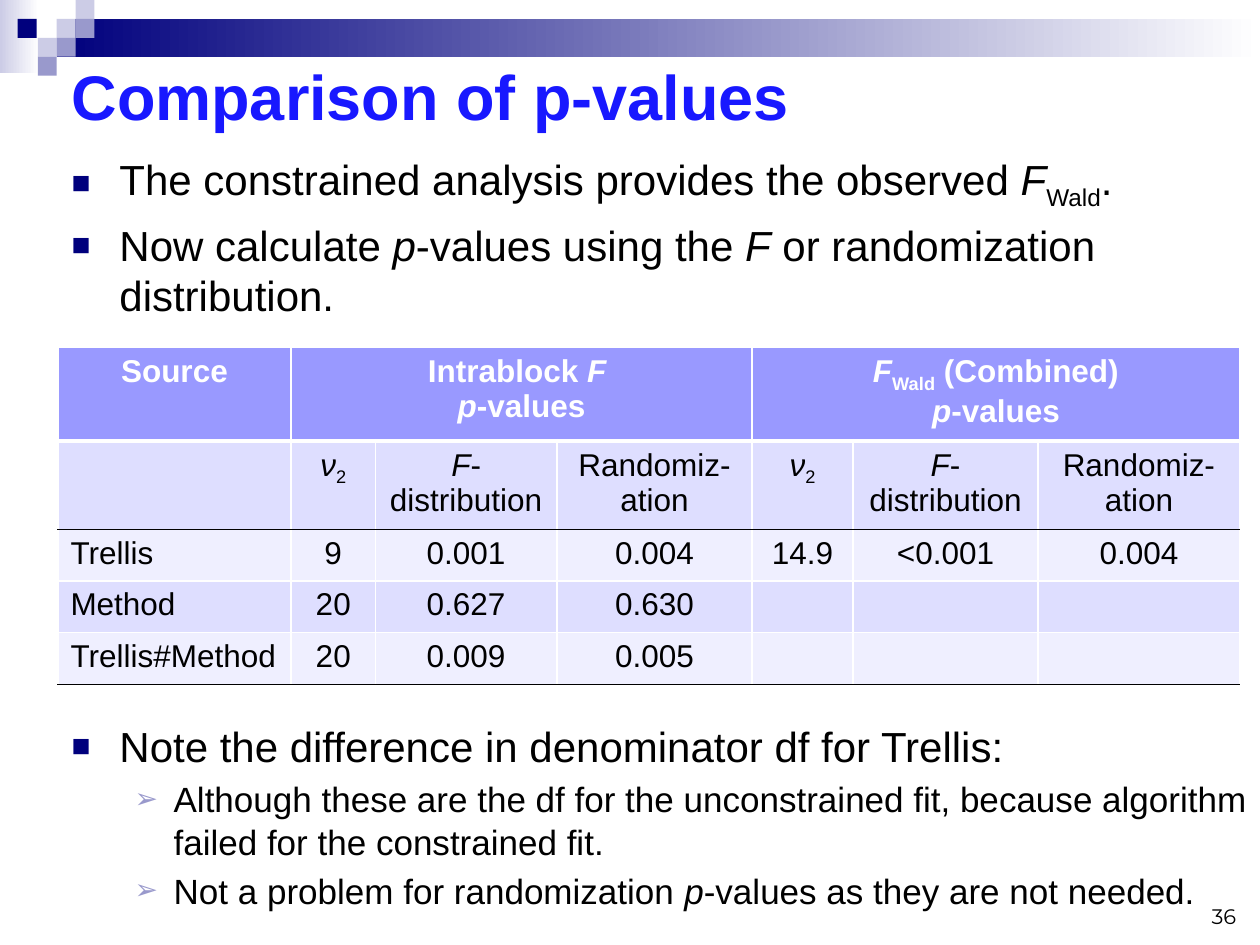
from lxml.etree import SubElement
from pptx import Presentation
from pptx.dml.color import RGBColor
from pptx.enum.shapes import MSO_SHAPE
from pptx.enum.text import MSO_ANCHOR, PP_ALIGN
from pptx.oxml.ns import qn
from pptx.util import Inches, Pt

COLORS = {
    "navy": "00007D", "lavender": "CCCCE6", "violet": "9999CC", "white": "FFFFFF",
    "black": "000000", "title": "1818FF", "header": "9999FF",
    "band": "DEDEFF", "light": "EFEFFF",
}
BODY = {"name": "Arial", "size": Pt(24)}
SUB_BODY = {"name": "Arial", "size": Pt(20)}
CELL = {"name": "Arial", "size": Pt(18)}
HEADER = {**CELL, "bold": True}
TITLE = {"name": "Arial", "size": Pt(36), "bold": True}
PAGE = {"name": "Montserrat", "size": Pt(12)}
BULLETS = [
    {"char": "■", "color": "navy", "scale": 75, "left": 0.38, "hang": 0.38, "style": BODY},
    {"char": "➢", "color": "violet", "scale": 80, "left": 0.81, "hang": 0.31, "style": SUB_BODY},
]
TILE = 0.15
TILES = [
    (0.45, 0.15, "lavender"), (0.6, 0, "lavender"), (0.6, 0.15, "violet"),
    (0.3, 0.3, "lavender"), (0.14, 0.15, "navy"), (0.45, 0.3, "violet"),
    (0.3, 0.45, "violet"),
]
INTRO = [
    (0, "The constrained analysis provides the observed *F*_Wald_."),
    (0, "Now calculate *p*-values using the *F* or randomization distribution."),
]
NOTES = [
    (0, "Note the difference in denominator df for Trellis:"),
    (1, "Although these are the df for the unconstrained fit, because algorithm "
        "failed for the constrained fit."),
    (1, "Not a problem for randomization *p*-values as they are not needed."),
]
SUBHEADS = ["*ν*_2_", "*F*-distribution", "Randomiz-ation"]
ROWS = [
    ["Source", "Intrablock *F *\n*p*-values", "", "", "*F*_Wald_ (Combined)\n*p*-values", "", ""],
    ["", *SUBHEADS, *SUBHEADS],
    ["Trellis", "9", "0.001", "0.004", "14.9", "<0.001", "0.004"],
    ["Method", "20", "0.627", "0.630", "", "", ""],
    ["Trellis#Method", "20", "0.009", "0.005", "", "", ""],
]
COLUMN_WIDTHS = [1.85, 0.67, 1.44, 1.55, 0.8, 1.47, 1.6]
ROW_HEIGHTS = [0.69, 0.7, 0.41, 0.41, 0.41]
ROW_FILLS = ["header", "band", "light", "band", "light"]
RULES = [("white", 1), ("white", 3), ("black", 1), ("white", 1), ("white", 1), ("black", 1)]


def rgb(color):
    """Return the named palette colour."""
    return RGBColor.from_string(COLORS[color])


def write(paragraph, text, style, color="black"):
    """Write text in which *...* is italic and _..._ is subscript."""
    for i, part in enumerate(text.split("*")):
        for j, piece in enumerate(part.split("_")):
            if not piece:
                continue
            run = paragraph.add_run()
            run.text = piece
            for key, value in style.items():
                setattr(run.font, key, value)
            run.font.color.rgb = rgb(color)
            if i % 2:
                run.font.italic = True
            if j % 2:
                run._r.get_or_add_rPr().set("baseline", "-25000")


def add_block(slide, box, fill, fade=False):
    """Add a borderless rectangle, plain or fading to white."""
    block = slide.shapes.add_shape(MSO_SHAPE.RECTANGLE, *map(Inches, box))
    block.shadow.inherit = False
    block.line.fill.background()
    if fade:
        block.fill.gradient()
        block.fill.gradient_angle = 0
        for stop, color in zip(block.fill.gradient_stops, (fill, "white")):
            stop.color.rgb = rgb(color)
    else:
        block.fill.solid()
        block.fill.fore_color.rgb = rgb(fill)


def add_frame(slide, box, anchor=MSO_ANCHOR.TOP):
    """Add a wrapping text box and return its text frame."""
    frame = slide.shapes.add_textbox(*map(Inches, box)).text_frame
    frame.word_wrap = True
    frame.vertical_anchor = anchor
    return frame


def add_line(slide, box, text, style, color, anchor, align):
    """Add a text box holding a single line."""
    paragraph = add_frame(slide, box, anchor).paragraphs[0]
    paragraph.alignment = align
    write(paragraph, text, style, color)


def set_bullet(paragraph, bullet):
    """Give a paragraph its indent and bullet."""
    props = paragraph._p.get_or_add_pPr()
    props.set("marL", str(Inches(bullet["left"])))
    props.set("indent", str(-Inches(bullet["hang"])))
    color = SubElement(props, qn("a:buClr"))
    SubElement(color, qn("a:srgbClr"), val=COLORS[bullet["color"]])
    SubElement(props, qn("a:buSzPct"), val=str(bullet["scale"] * 1000))
    SubElement(props, qn("a:buFont"), typeface="Arial")
    SubElement(props, qn("a:buChar"), char=bullet["char"])


def add_bullets(slide, box, items):
    """Add a bulleted list of (level, text) items."""
    frame = add_frame(slide, box)
    for index, (level, text) in enumerate(items):
        paragraph = frame.add_paragraph() if index else frame.paragraphs[0]
        bullet = BULLETS[level]
        paragraph.level = level
        paragraph.space_before = Pt(bullet["style"]["size"].pt * 0.2)
        set_bullet(paragraph, bullet)
        write(paragraph, text, bullet["style"])


def set_borders(cell, top, bottom):
    """Draw white sides and the given rules above and below a cell."""
    side = ("white", 1)
    for tag, (color, width) in zip(("lnL", "lnR", "lnT", "lnB"), (side, side, top, bottom)):
        line = SubElement(cell._tc.get_or_add_tcPr(), qn(f"a:{tag}"), w=str(Pt(width)))
        SubElement(SubElement(line, qn("a:solidFill")), qn("a:srgbClr"), val=COLORS[color])


def fill_cell(cell, text, row, column):
    """Style one table cell and write its text."""
    set_borders(cell, RULES[row], RULES[row + 1])
    cell.fill.solid()
    cell.fill.fore_color.rgb = rgb(ROW_FILLS[row])
    style, color = (CELL, "black") if row else (HEADER, "white")
    for index, line in enumerate(text.split("\n")):
        frame = cell.text_frame
        paragraph = frame.add_paragraph() if index else frame.paragraphs[0]
        paragraph.alignment = PP_ALIGN.LEFT if row > 1 and column == 0 else PP_ALIGN.CENTER
        write(paragraph, line, style, color)


def add_p_value_table(slide):
    """Add the table of p-values with its two merged headings."""
    box = (0.46, 2.76, sum(COLUMN_WIDTHS), sum(ROW_HEIGHTS))
    table = slide.shapes.add_table(len(ROWS), len(COLUMN_WIDTHS), *map(Inches, box)).table
    for column, width in zip(table.columns, COLUMN_WIDTHS):
        column.width = Inches(width)
    for row, height in zip(table.rows, ROW_HEIGHTS):
        row.height = Inches(height)
    for first in (1, 4):
        table.cell(0, first).merge(table.cell(0, first + 2))
    for r, texts in enumerate(ROWS):
        for c, text in enumerate(texts):
            fill_cell(table.cell(r, c), text, r, c)


def main():
    """Build the slide and save it."""
    deck = Presentation()
    deck.slide_width, deck.slide_height = Inches(10), Inches(7.5)
    slide = deck.slides.add_slide(deck.slide_layouts[6])
    add_block(slide, (0, 0, 0.31, 0.58), "lavender", fade=True)
    add_block(slide, (0.45, 0.15, 9.55, 0.3), "navy", fade=True)
    for left, top, color in TILES:
        add_block(slide, (left, top, TILE, TILE), color)
    add_line(slide, (0.47, 0.35, 9.45, 0.81), "Comparison of p-values", TITLE, "title",
             MSO_ANCHOR.MIDDLE, PP_ALIGN.LEFT)
    add_bullets(slide, (0.47, 5.67, 9.73, 1.87), NOTES)
    add_line(slide, (7.58, 6.92, 2.33, 0.5), "36", PAGE, "black",
             MSO_ANCHOR.BOTTOM, PP_ALIGN.RIGHT)
    add_p_value_table(slide)
    add_bullets(slide, (0.47, 1.17, 9.73, 1.55), INTRO)
    deck.save("out.pptx")


if __name__ == "__main__":
    main()
